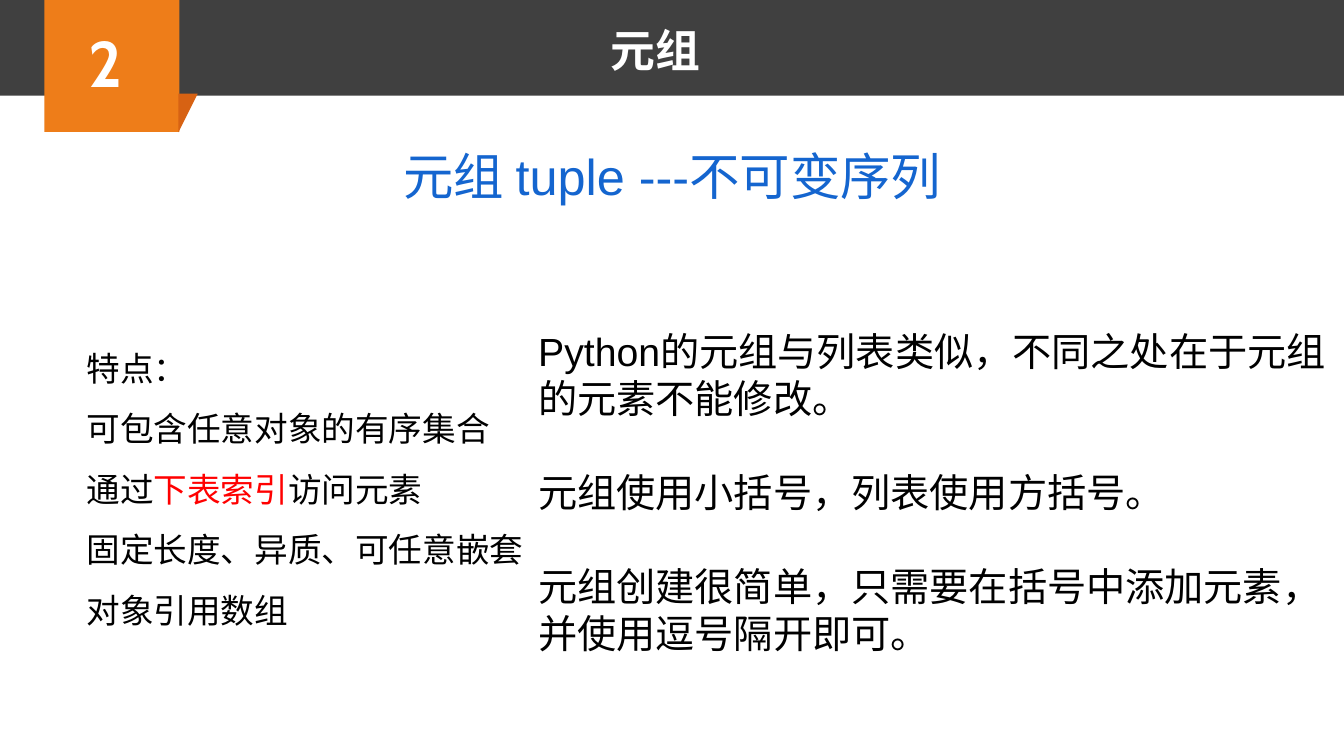
from dataclasses import dataclass

from pptx import Presentation
from pptx import util as u
from pptx.dml.color import RGBColor
from pptx.enum import shapes, text


@dataclass(frozen=True)
class Theme:
    band: str = "404040"
    tile: str = "EE7D19"
    fold: str = "D76213"
    light: str = "FFFFFF"
    accent: str = "1465CF"
    body: str = "000000"
    highlight: str = "FF0000"
    body_font: str = "Arial"
    heading_font: str = "Lato"
    number_font: str = "Cabin"
    number_size: int = 46
    subtitle_size: int = 36
    heading_size: int = 32
    explanation_size: int = 28
    feature_size: int = 24


THEME = Theme()
WIDTH, HEIGHT = u.Inches(13.33), u.Inches(7.5)
BODY_TOP = 42.67

FEATURES = [
    ["特点："],
    ["可包含任意对象的有序集合"],
    ["通过", "下表索引", "访问元素"],
    ["固定长度、异质、可任意嵌套"],
    ["对象引用数组"],
]
EXPLANATION = [
    ["Python的元组与列表类似，不同之处在于元组的元素不能修改。"],
    ["元组使用小括号，列表使用方括号。"],
    ["元组创建很简单，只需要在括号中添加元素，并使用逗号隔开即可。"],
]


def place(left, top, width, height):
    """Turn percentages of the slide's width and height into lengths."""
    return (int(WIDTH * left / 100), int(HEIGHT * top / 100),
            int(WIDTH * width / 100), int(HEIGHT * height / 100))


def add_block(container, kind, area, color):
    block = container.shapes.add_shape(kind, *place(*area))
    block.shadow.inherit = False
    block.fill.solid()
    block.fill.fore_color.rgb = RGBColor.from_string(color)
    block.line.fill.background()
    return block


def add_text(container, area, paragraphs, size, color, font=THEME.body_font,
             bold=False, centered=False, wrap=True, line_spacing=1.0, gap=0):
    """Add paragraphs given as lists of runs; every second run is highlighted."""
    frame = container.shapes.add_textbox(*place(*area)).text_frame
    frame.word_wrap = wrap
    frame.auto_size = text.MSO_AUTO_SIZE.SHAPE_TO_FIT_TEXT
    for index, runs in enumerate(paragraphs):
        paragraph = frame.add_paragraph() if index else frame.paragraphs[0]
        paragraph.alignment = text.PP_ALIGN.CENTER if centered else text.PP_ALIGN.LEFT
        paragraph.line_spacing = line_spacing
        paragraph.space_before = u.Pt(gap if index else 0)
        for position, words in enumerate(runs):
            run = paragraph.add_run()
            run.text = words
            run.font.size = u.Pt(size)
            run.font.name = font
            run.font.bold = bold
            run.font.color.rgb = RGBColor.from_string(
                THEME.highlight if position % 2 else color)


def add_header(slide):
    header = slide.shapes.add_group_shape()
    rectangle = shapes.MSO_SHAPE.RECTANGLE
    add_block(header, rectangle, (0, 0, 100, 12.67), THEME.band)
    add_block(header, rectangle, (3.3, 0, 10.05, 17.47), THEME.tile)
    fold = add_block(header, shapes.MSO_SHAPE.RIGHT_TRIANGLE,
                     (13.28, 12.4, 1.43, 5.07), THEME.fold)
    fold.rotation = 180
    fold._element.spPr.xfrm.set("flipH", "1")
    add_text(header, (5.7, 2.4, 4.35, 12.13), [["2"]], THEME.number_size,
             THEME.light, THEME.number_font, bold=True, centered=True, wrap=False)
    add_text(slide, (44.64, 2.4, 8.25, 8.53), [["元组"]], THEME.heading_size,
             THEME.light, THEME.heading_font, bold=True, centered=True, wrap=False)


def main():
    presentation = Presentation()
    presentation.slide_width, presentation.slide_height = WIDTH, HEIGHT
    slide = presentation.slides.add_slide(presentation.slide_layouts[6])
    add_text(slide, (24.98, 14.53, 50.11, 13.47), [["元组 tuple ---不可变序列"]],
             THEME.subtitle_size, THEME.accent, centered=True, line_spacing=1.5)
    add_header(slide)
    add_text(slide, (5.7, BODY_TOP, 50.11, 41.73), FEATURES,
             THEME.feature_size, THEME.body, line_spacing=1.5)
    add_text(slide, (39.31, BODY_TOP, 62.19, 45.33), EXPLANATION,
             THEME.explanation_size, THEME.body, gap=33.5)
    presentation.save("out.pptx")


if __name__ == "__main__":
    main()
